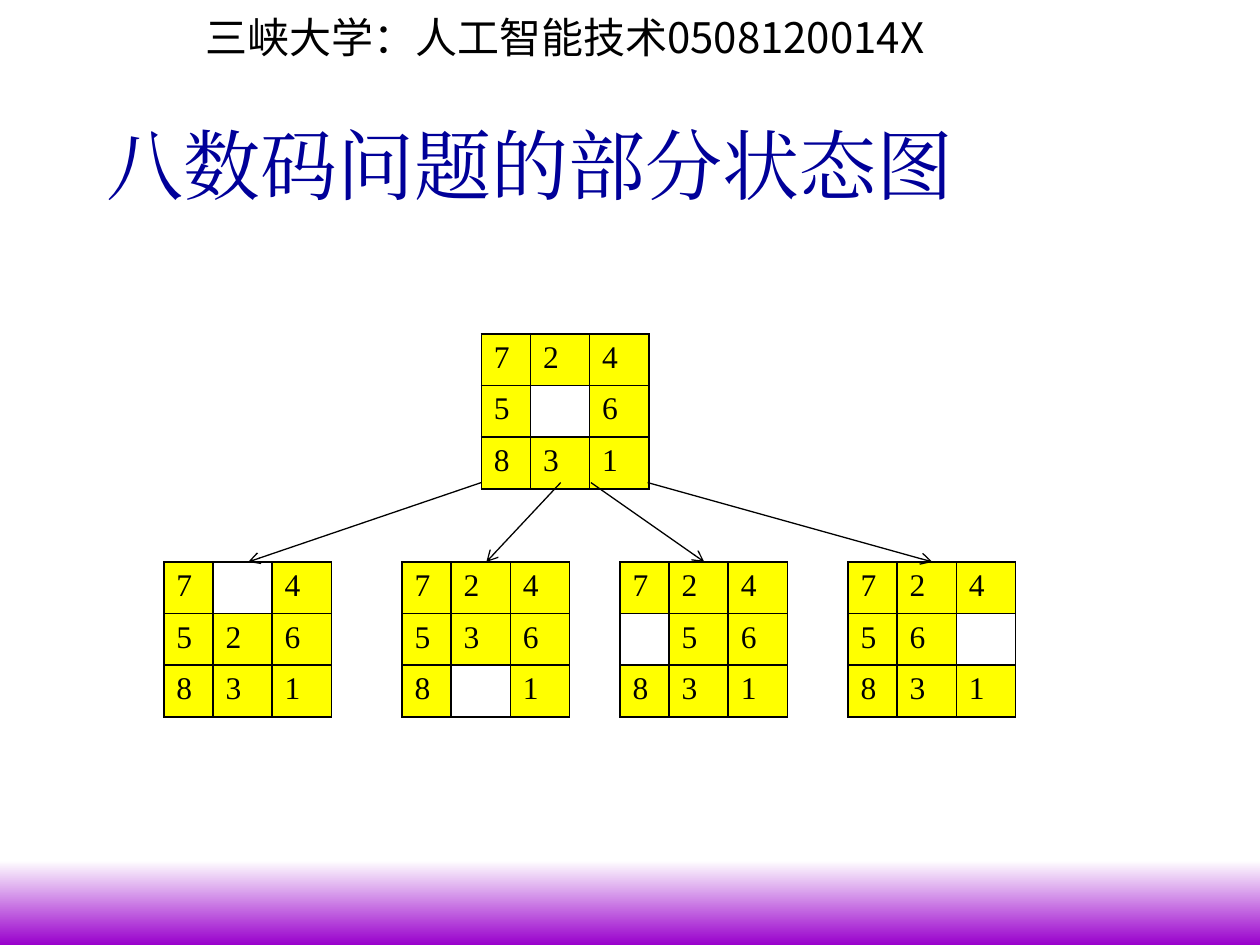
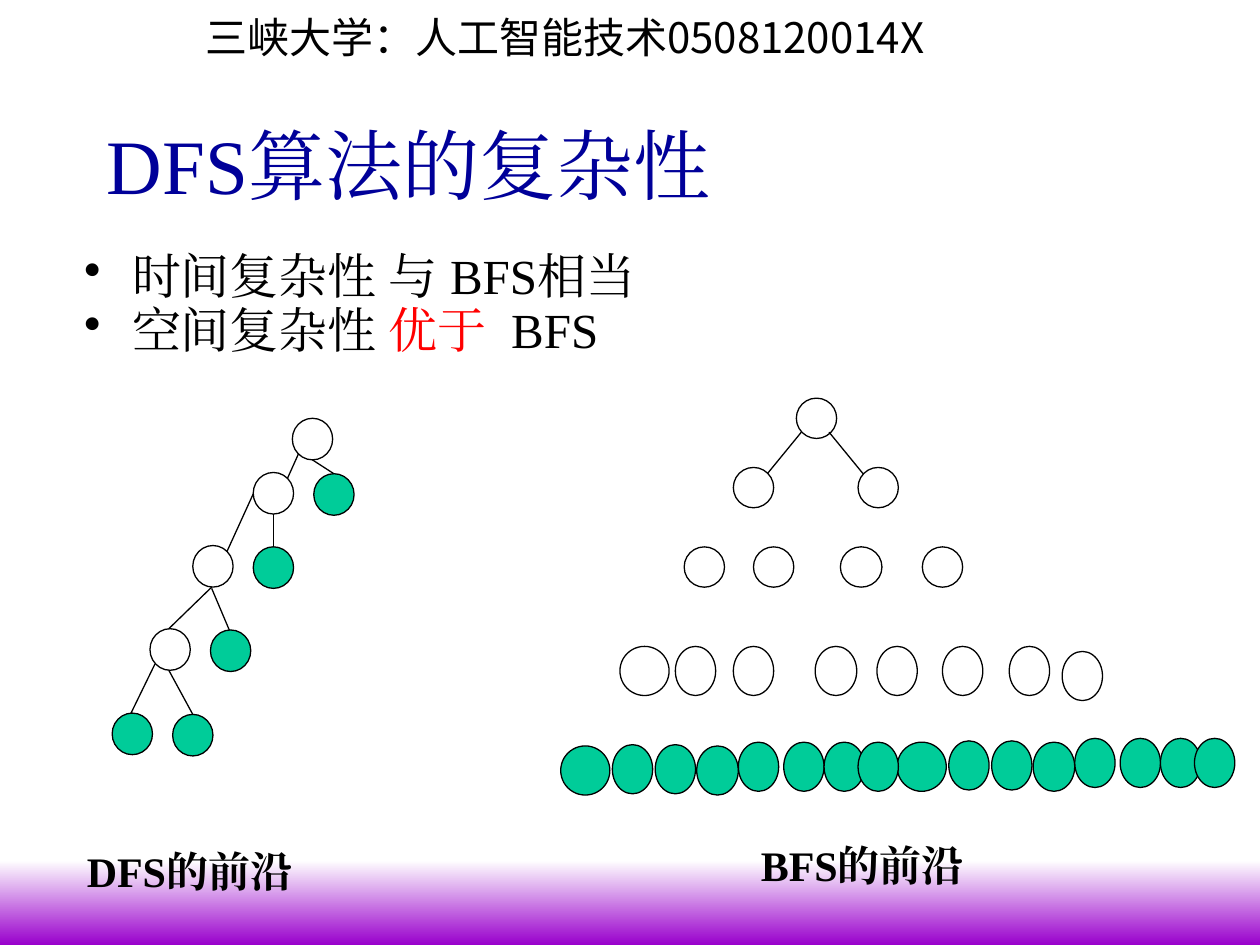
from dataclasses import dataclass

from lxml.etree import SubElement
from pptx import Presentation
from pptx.dml.color import RGBColor as RGB
from pptx.enum.shapes import MSO_CONNECTOR as CONNECTOR, MSO_SHAPE as SHAPE
from pptx.enum.text import MSO_ANCHOR as ANCHOR, PP_ALIGN as ALIGN
from pptx.oxml import parse_xml
from pptx.oxml.ns import nsdecls, qn
from pptx.util import Inches, Pt


@dataclass(frozen=True)
class Theme:
    """Colours, fonts and type sizes shared by the slides."""
    ink: RGB = RGB(0, 0, 0)
    paper: RGB = RGB(255, 255, 255)
    title: RGB = RGB(0, 0, 0x99)
    band: RGB = RGB(0x99, 0, 0xCC)
    tile: RGB = RGB(255, 255, 0)
    frontier: RGB = RGB(0, 0xCC, 0x99)
    accent: RGB = RGB(255, 0, 0)
    serif: str = "Times New Roman"
    sans: str = "Noto Sans CJK SC"
    title_size: int = 44
    body_size: int = 28
    label_size: int = 24
    tile_size: int = 18
    line: float = 0.75


THEME = Theme()
COURSE = "三峡大学：人工智能技术0508120014X"

COLUMNS = (0.39, 0.47, 0.47)
ROW_HEIGHT = 0.41
START_STATE = (3.82, 2.65, ("724", "5 6", "831"))
NEXT_TOP = 4.46
NEXT_STATES = (
    (1.3, ("7 4", "526", "831")),
    (3.19, ("724", "536", "8 1")),
    (4.92, ("724", " 56", "831")),
    (6.73, ("724", "56 ", "831")),
)
MOVES = ((3.82, 1.97), (4.45, 3.86), (4.69, 5.59), (5.14, 7.4))

COMPLEXITY = (
    (("时间复杂性 与 BFS相当", THEME.ink),),
    (("空间复杂性 ", THEME.ink), ("优于  ", THEME.accent), ("BFS", THEME.ink)),
)

DFS_SIZE = (0.32, 0.33)
DFS_EXPANDED = ((2.32, 3.32), (2.01, 3.75), (1.53, 4.33), (1.19, 4.99))
DFS_FRONTIER = ((2.49, 3.76), (2.01, 4.34), (1.67, 5), (0.89, 5.66), (1.37, 5.67))
DFS_EDGES = (
    ((2.37, 3.6), (2.28, 3.8)), ((2.48, 3.65), (2.65, 3.76)),
    ((2.01, 3.92), (1.8, 4.38)), ((2.17, 4.08), (2.17, 4.34)),
    ((1.68, 4.66), (1.34, 4.99)), ((1.68, 4.67), (1.82, 5)),
    ((1.23, 5.27), (1.04, 5.66)), ((1.34, 5.32), (1.53, 5.67)),
)

BFS_EXPANDED = (
    (0.32, 3.16, (6.32,)),
    (0.32, 3.71, (5.82, 6.81)),
    (0.32, 4.34, (5.43, 5.98, 6.67, 7.32)),
    (0.39, 5.13, (4.92, 5.36, 5.82, 6.47, 6.96, 7.48, 8.01)),
    (0.39, 5.17, (8.43,)),
)
WIDE_NODES = {(4.92, 5.13): 0.39, (6.47, 5.13): 0.33, (6.67, 4.34): 0.33}
BFS_FRONTIER_HALF = (
    (4.45, 5.92, 0.39), (4.86, 5.91, 0.32), (5.2, 5.91, 0.32), (5.53, 5.92, 0.33),
    (5.86, 5.89, 0.32), (6.22, 5.89, 0.32), (6.54, 5.89, 0.32), (6.81, 5.89, 0.32),
)
HALF_SHIFTS = ((2.67, -0.03), (0, 0))
BFS_EDGES = (((6.36, 3.43), (6.09, 3.76)), ((6.58, 3.43), (6.85, 3.76)))


def style_run(run, size, color=THEME.ink, font=THEME.serif, bold=False):
    """Format one run for both Latin and Chinese characters."""
    run.font.size = Pt(size)
    run.font.name = font
    run.font.bold = bold
    run.font.color.rgb = color
    SubElement(run.font._element, qn("a:ea"), typeface=font)


def add_frame(slide, left, top, width, height):
    """Add a wrapping text box and return its text frame."""
    frame = slide.shapes.add_textbox(*map(Inches, (left, top, width, height))).text_frame
    frame.word_wrap = True
    return frame


def add_label(slide, text, box, size, **style):
    """Add a one-paragraph text and return its text frame."""
    frame = add_frame(slide, *box)
    frame.text = text
    style_run(frame.paragraphs[0].runs[0], size, **style)
    return frame


def add_band(slide):
    """Add the gradient band along the foot of the slide."""
    band = slide.shapes.add_shape(SHAPE.RECTANGLE, *map(Inches, (0, 6.83, 10, 0.67)))
    band.shadow.inherit = False
    band.line.fill.background()
    band.fill.gradient()
    band.fill.gradient_angle = 270
    stops = band.fill.gradient_stops
    for stop, position, color in zip(stops, (0, 1), (THEME.paper, THEME.band)):
        stop.position = position
        stop.color.rgb = color


def add_titled_slide(deck, title):
    """Add a slide with the shared band, course line and title."""
    slide = deck.slides.add_slide(deck.slide_layouts[6])
    add_band(slide)
    course = add_label(slide, COURSE, (1.53, 0.04, 6.14, 0.5), THEME.label_size,
                       font=THEME.sans)
    course.paragraphs[0].alignment = ALIGN.JUSTIFY
    heading = add_label(slide, title, (0.75, 0.67, 8.5, 1.25), THEME.title_size,
                        color=THEME.title)
    heading.vertical_anchor = ANCHOR.MIDDLE
    return slide


def add_bullets(slide, items):
    """Add bulleted paragraphs made of coloured pieces."""
    frame = add_frame(slide, 0.57, 1.95, 8.5, 4.5)
    for index, pieces in enumerate(items):
        paragraph = frame.add_paragraph() if index else frame.paragraphs[0]
        paragraph.line_spacing = 0.9
        paragraph.space_before = Pt(1)
        for text, color in pieces:
            run = paragraph.add_run()
            run.text = text
            style_run(run, THEME.body_size, color)
        props = paragraph._p.get_or_add_pPr()
        props.set("marL", str(Inches(0.38)))
        props.set("indent", str(-Inches(0.38)))
        SubElement(props, qn("a:buChar"), char="•")


def add_cell_borders(cell):
    """Draw a thin line on all four sides of a cell."""
    props = cell._tc.get_or_add_tcPr()
    for index, side in enumerate("LRTB"):
        props.insert(index, parse_xml(
            f'<a:ln{side} {nsdecls("a")} w="{Pt(1)}"><a:solidFill>'
            f'<a:srgbClr val="{THEME.ink}"/></a:solidFill></a:ln{side}>'))


def add_puzzle(slide, left, top, rows):
    """Add one eight-puzzle state, where a space is the empty square."""
    box = (left, top, sum(COLUMNS), ROW_HEIGHT * len(rows))
    board = slide.shapes.add_table(len(rows), len(COLUMNS), *map(Inches, box)).table
    board.first_row = board.horz_banding = False
    for column, width in zip(board.columns, COLUMNS):
        column.width = Inches(width)
    for r, row in enumerate(rows):
        board.rows[r].height = Inches(ROW_HEIGHT)
        for c, digit in enumerate(row):
            cell = board.cell(r, c)
            if digit == " ":
                cell.fill.background()
            else:
                cell.text = digit
                style_run(cell.text_frame.paragraphs[0].runs[0], THEME.tile_size)
                cell.fill.solid()
                cell.fill.fore_color.rgb = THEME.tile
            add_cell_borders(cell)


def add_edge(shapes, start, end, arrow=False):
    """Add a straight line, with an open arrowhead if wanted."""
    edge = shapes.add_connector(CONNECTOR.STRAIGHT, *map(Inches, (*start, *end)))
    edge.line.color.rgb = THEME.ink
    edge.line.width = Pt(THEME.line)
    if arrow:
        SubElement(edge.line._get_or_add_ln(), qn("a:tailEnd"), type="arrow")
    SubElement(edge._element.spPr, qn("a:effectLst"))


def add_node(shapes, left, top, width, height, frontier=False):
    """Add a tree node, filled when it lies on the frontier."""
    node = shapes.add_shape(SHAPE.OVAL, *map(Inches, (left, top, width, height)))
    node.shadow.inherit = False
    node.line.color.rgb = THEME.ink
    node.line.width = Pt(THEME.line)
    if frontier:
        node.fill.solid()
        node.fill.fore_color.rgb = THEME.frontier
    else:
        node.fill.background()


def add_bfs_tree(slide):
    """Add the breadth-first tree with its wide frontier."""
    tree = slide.shapes.add_group_shape().shapes
    for height, top, lefts in BFS_EXPANDED:
        for left in lefts:
            add_node(tree, left, top, WIDE_NODES.get((left, top), 0.32), height)
    for dx, dy in HALF_SHIFTS:
        for left, top, width in BFS_FRONTIER_HALF:
            add_node(tree, left + dx, top + dy, width, 0.39, frontier=True)
    for start, end in BFS_EDGES:
        add_edge(tree, start, end)


def add_dfs_tree(slide):
    """Add the depth-first tree with its narrow frontier."""
    tree = slide.shapes.add_group_shape().shapes
    for nodes, frontier in ((DFS_EXPANDED, False), (DFS_FRONTIER, True)):
        for left, top in nodes:
            add_node(tree, left, top, *DFS_SIZE, frontier=frontier)
    for start, end in DFS_EDGES:
        add_edge(tree, start, end)


def build_state_slide(deck):
    """Build the slide with the eight-puzzle states."""
    slide = add_titled_slide(deck, "八数码问题的部分状态图")
    add_puzzle(slide, *START_STATE)
    for left, rows in NEXT_STATES:
        add_puzzle(slide, left, NEXT_TOP, rows)
    for start, end in MOVES:
        add_edge(slide.shapes, (start, 3.83), (end, NEXT_TOP), arrow=True)


def build_complexity_slide(deck):
    """Build the slide that compares the two frontiers."""
    slide = add_titled_slide(deck, "DFS算法的复杂性")
    add_bullets(slide, COMPLEXITY)
    add_bfs_tree(slide)
    add_dfs_tree(slide)
    for text, box in (("DFS的前沿", (0.59, 6.66, 1.85, 0.51)),
                      ("BFS的前沿", (5.94, 6.61, 1.83, 0.5))):
        add_label(slide, text, box, THEME.label_size, bold=True)


def main():
    """Build both slides and save the deck."""
    deck = Presentation()
    deck.slide_width, deck.slide_height = Inches(10), Inches(7.5)
    build_state_slide(deck)
    build_complexity_slide(deck)
    deck.save("out.pptx")


if __name__ == "__main__":
    main()
